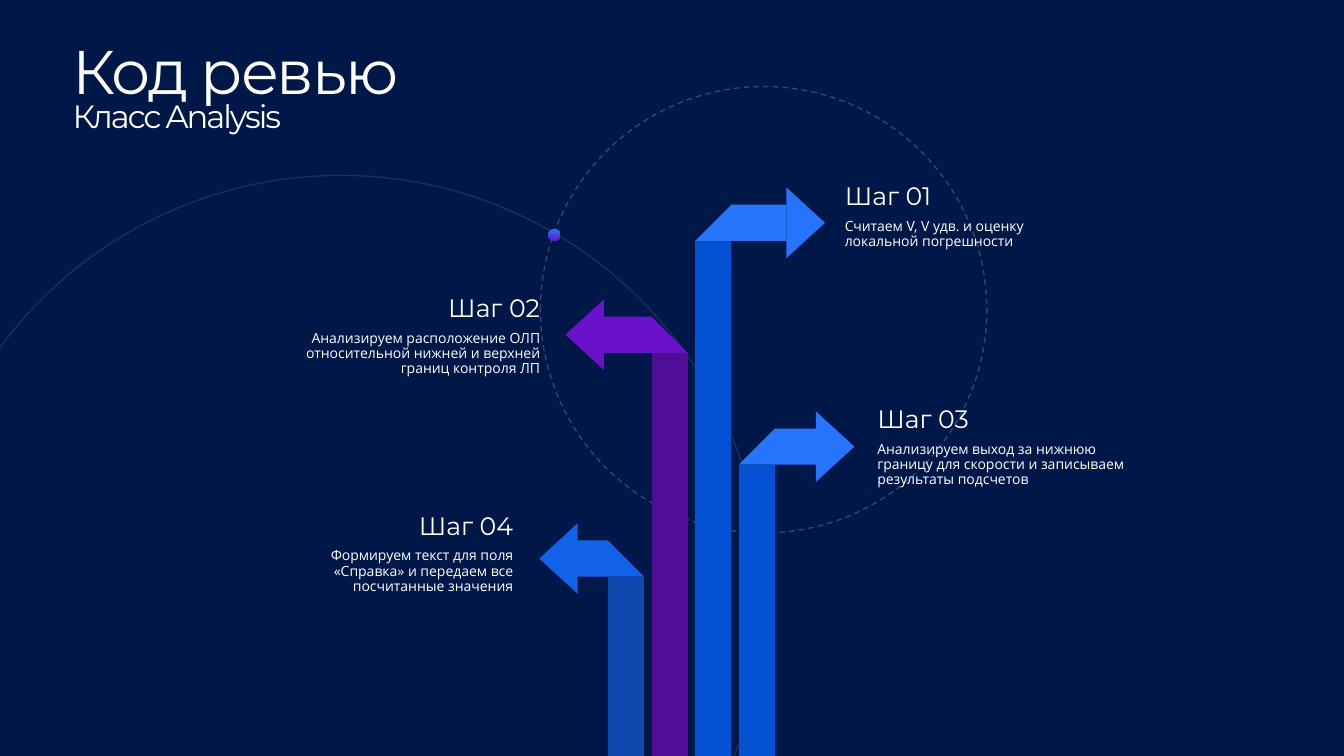
from math import acos, asin, cos, sin
from pptx import Presentation
from pptx.dml.color import RGBColor
from pptx.enum.dml import MSO_LINE
from pptx.enum.shapes import MSO_SHAPE
from pptx.enum.text import MSO_ANCHOR, PP_ALIGN
from pptx.oxml.ns import qn
from pptx.oxml.xmlchemy import OxmlElement
from pptx.util import Cm, Pt


def tint(code):
    """Turn a hex string into a colour."""
    return RGBColor.from_string(code)


class Deck:
    """Hold the style and the current slide."""

    head, body, ink, back = "Montserrat", "Open Sans", "FEFFFE", "001847"
    blue, plum = "2574FB", "6A11CA"

    def __init__(self, wide, high):
        """Open a deck with one blank slide."""
        self.show = Presentation()
        self.show.slide_width, self.show.slide_height = Cm(wide), Cm(high)
        self.high = high
        self.slide = self.show.slides.add_slide(self.show.slide_layouts[6])
        self.slide.background.fill.solid()
        self.slide.background.fill.fore_color.rgb = tint(self.back)

    def oval(self, x, y, size):
        """Add a circle by its left, top and width."""
        shape = self.slide.shapes.add_shape(
            MSO_SHAPE.OVAL, Cm(x), Cm(y), Cm(size), Cm(size))
        shape.shadow.inherit = False
        return shape

    def trace(self, points, close=True):
        """Add an outline through the points."""
        spots = [(Cm(x), Cm(y)) for x, y in points]
        form = self.slide.shapes.build_freeform(*spots[0], scale=1.0)
        form.add_line_segments(spots[1:], close=close)
        shape = form.convert_to_shape()
        shape.shadow.inherit = False
        return shape

    def paint(self, shape, code):
        """Give a shape a plain fill and no line."""
        shape.fill.solid()
        shape.fill.fore_color.rgb = tint(code)
        shape.line.fill.background()

    def edge(self, shape, share, dash=MSO_LINE.SOLID):
        """Give a shape a faint line and no fill."""
        shape.fill.background()
        shape.line.width = Pt(1)
        shape.line.color.rgb = tint(self.ink)
        shape.line.dash_style = dash
        alpha = OxmlElement("a:alpha")
        alpha.set("val", str(share * 1000))
        line = shape.element.spPr.find(qn("a:ln"))
        line.find(".//" + qn("a:srgbClr")).append(alpha)

    def arc(self, x, y, size, share):
        """Add the part of a large ring that lies on the slide."""
        start, end = acos(-x / size), asin((y - self.high) / size)
        turns = [start + (end - start) * i / 160 for i in range(161)]
        points = [(x + size * cos(t), y - size * sin(t)) for t in turns]
        self.edge(self.trace(points, False), share)

    def dot(self, x, y, size):
        """Add a dot that fades from blue to plum."""
        shape = self.oval(x, y, size)
        shape.line.fill.background()
        shape.fill.gradient()
        shape.fill.gradient_angle = 270
        stops = zip(shape.fill.gradient_stops, (self.blue, self.plum))
        for place, (stop, code) in enumerate(stops):
            stop.position = place
            stop.color.rgb = tint(code)

    def arrow(self, x, y, tip, lap, dark, light):
        """Add a post whose top folds towards the tip."""
        band, half, long = 0.91, 0.89, 0.97
        way = 1 if tip > x else -1
        near, far = (x, x + band)[::way]
        neck, mid, low = tip - way * long, y + band / 2, y + band
        end = neck + way * lap
        post = [(x, low), (x + band, low), (x + band, self.high), (x, self.high)]
        fold = [(near, low), (far, y), (end, y), (end, low)]
        point = [(neck, mid - half), (tip, mid), (neck, mid + half)]
        for points, code in ((post, dark), (fold, light), (point, light)):
            self.paint(self.trace(points), code)

    def frame(self, x, y, wide, high, text=""):
        """Add a wrapped text box."""
        frame = self.slide.shapes.add_textbox(
            Cm(x), Cm(y), Cm(wide), Cm(high)).text_frame
        frame.word_wrap = True
        frame.vertical_anchor = MSO_ANCHOR.TOP
        frame.text = text
        return frame

    def style(self, run, size, face):
        """Set the font of a run."""
        run.font.size, run.font.name = Pt(size), face
        run.font.color.rgb = tint(self.ink)

    def title(self, x, y, wide, high, text, parts):
        """Add the title and the line below it."""
        frame = self.frame(x, y, wide, high)
        frame.margin_left = frame.margin_right = frame.margin_bottom = 0
        frame.margin_top = Cm(0.53)
        para = frame.paragraphs[0]
        para.text = text + "\v"
        para.line_spacing = 0.75
        for part in parts:
            para.add_run().text = part
        for i, run in enumerate(para.runs):
            self.style(run, 23 if i else 44, self.head)
            para.runs[i].font.bold = False
        for props in frame.paragraphs[0].runs:
            props.font.italic = False
        for props in para.font and frame._txBody.iter(qn("a:rPr")):
            props.set("spc", "-150")

    def note(self, x, y, name, text, side):
        """Add a step name with its text."""
        frame = self.frame(x, y, 6.93, 2.2, f"{name}\n{text}")
        faces = ((18, self.head, 1.0), (10, self.body, 0.9))
        for para, (size, face, gap) in zip(frame.paragraphs, faces):
            para.alignment, para.line_spacing = side, gap
            para.space_before = Pt(6)
            self.style(para.runs[0], size, face)


deck = Deck(33.87, 19.05)
deck.arc(8.59, 15.09, 10.67, 10)
deck.edge(deck.oval(13.62, 2.18, 11.25), 20, MSO_LINE.DASH)
deck.dot(13.82, 5.77, 0.3)
deck.title(1.83, 0.74, 11.73, 4.5, "Код ревью", ("Класс ", "Analysis"))

left, right = PP_ALIGN.LEFT, PP_ALIGN.RIGHT
steps = [
    (2, 20.79, 0, "0451D4", "2574FB", 21.04, 4.42, left,
     "Считаем V, V удв. и оценку локальной погрешности"),
    (1, 14.25, 0.1, "500D98", "6A11CA", 6.93, 7.25, right,
     "Анализируем расположение ОЛП относительной нижней и верхней "
     "границ контроля ЛП"),
    (3, 21.53, 0.1, "0451D4", "2574FB", 21.86, 10.05, left,
     "Анализируем выход за нижнюю границу для скорости и записываем "
     "результаты подсчетов"),
    (0, 13.59, 0.1, "0D49AE", "1162E8", 6.25, 12.73, right,
     "Формируем текст для поля «Справка» и передаем все "
     "посчитанные значения"),
]
for row, (lane, tip, lap, dark, light, x, y, side, text) in enumerate(steps):
    deck.arrow(15.32 + 1.1 * lane, 5.16 + 2.82 * row, tip, lap, dark, light)
    deck.note(x, y, f"Шаг {row + 1:02d}", text, side)

deck.show.save("out.pptx")
